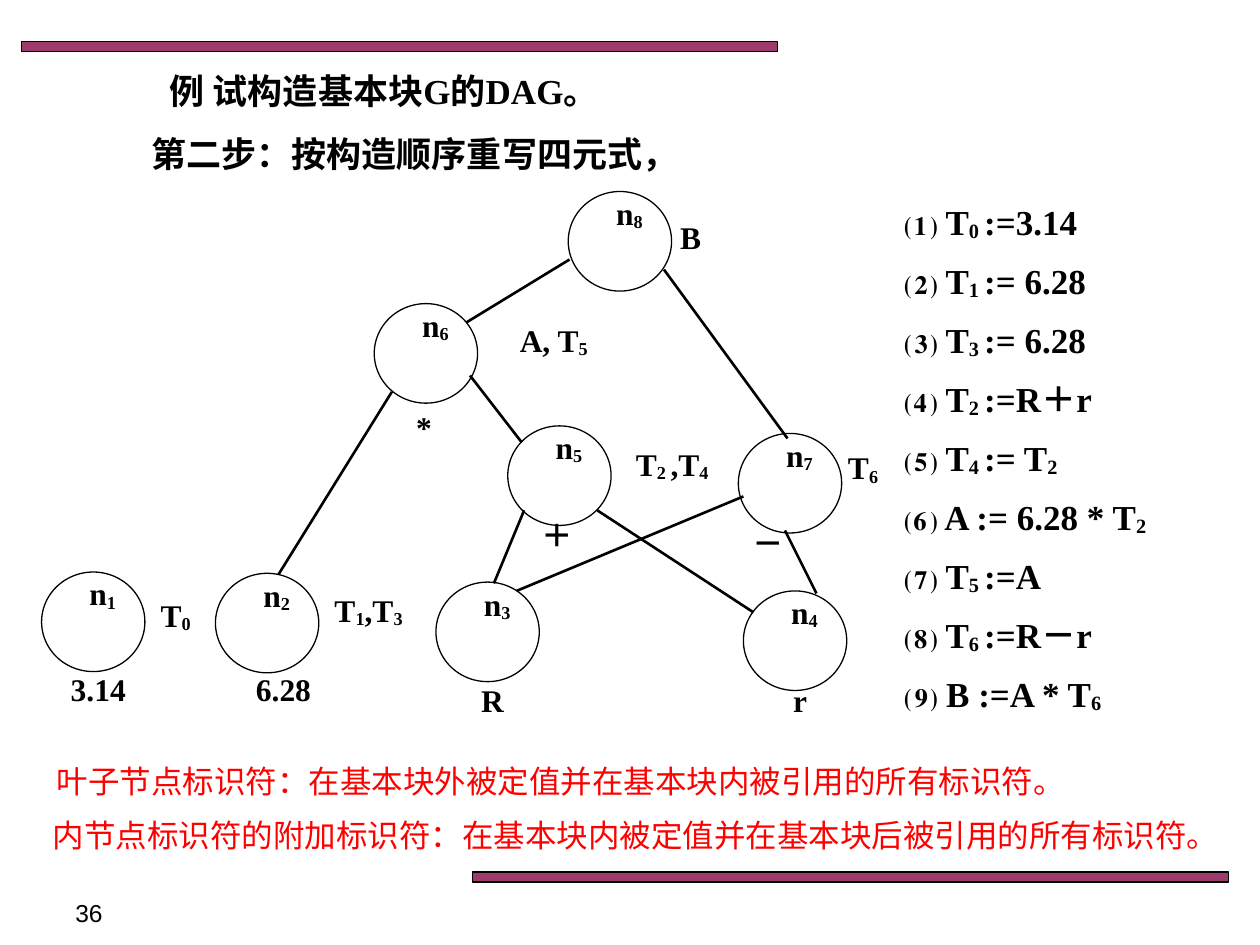
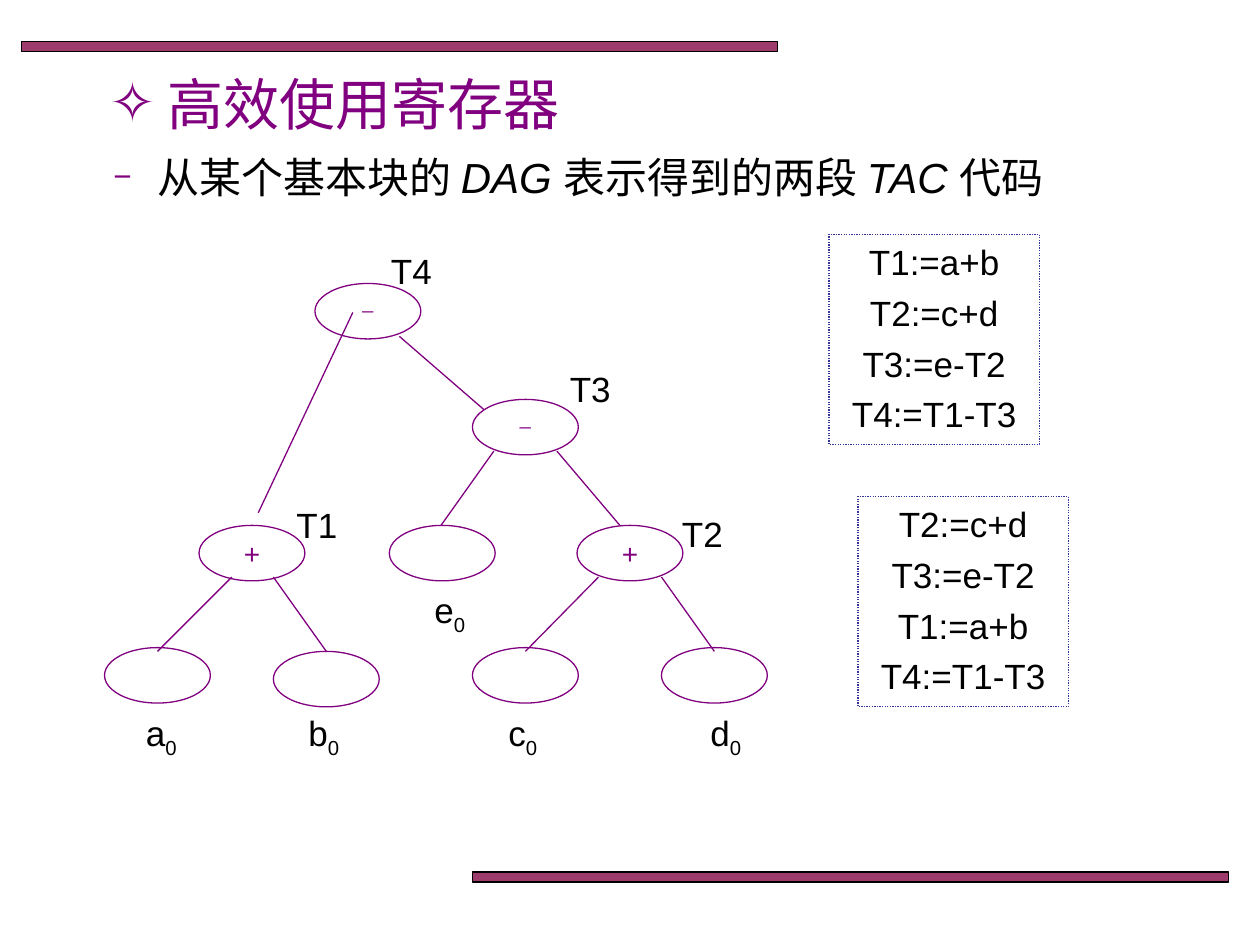
from dataclasses import dataclass

from lxml.etree import SubElement
from pptx import Presentation
from pptx.dml.color import RGBColor
from pptx.enum.dml import MSO_LINE
from pptx.enum.shapes import MSO_CONNECTOR, MSO_SHAPE
from pptx.enum.text import MSO_ANCHOR, MSO_AUTO_SIZE, PP_ALIGN
from pptx.oxml.ns import qn
from pptx.util import Inches, Pt

SERIF = "Times New Roman"
SANS = "Arial"
BLACK = "000000"
PURPLE = "800080"
MARK = "~"


@dataclass(frozen=True)
class Type:
    size: int
    font: str = SANS
    color: str = BLACK
    bold: bool = False


@dataclass(frozen=True)
class Theme:
    band: str = "993366"
    ink: str = BLACK
    tree: str = PURPLE
    paper: str = "FFFFFF"
    code_border: str = "333399"
    heading: Type = Type(20, SERIF, bold=True)
    node: Type = Type(18, SERIF, bold=True)
    remark: Type = Type(18, color="FF0000")
    page: Type = Type(14)
    topic: Type = Type(32, color=PURPLE)
    statement: Type = Type(24)
    code: Type = Type(20)
    minus: Type = Type(14, SERIF, PURPLE)
    plus: Type = Type(16, color=PURPLE)


THEME = Theme()
LOW = {"baseline": "-10000"}
LOWER = {"baseline": "-25000"}
ITALIC = {"i": "1"}


def inches(*lengths):
    return [Inches(length) for length in lengths]


def rgb(color):
    return RGBColor.from_string(color)


class Deck:
    def __init__(self, theme):
        self.theme = theme
        self.prs = Presentation()
        self.prs.slide_width, self.prs.slide_height = inches(10, 7.5)
        self.slide = None

    def new_slide(self):
        self.slide = self.prs.slides.add_slide(self.prs.slide_layouts[1])
        for left, top in ((0.17, 0.33), (3.75, 6.92)):
            band = self.shape(MSO_SHAPE.RECTANGLE, (left, top, 6, 0.08), self.theme.ink, self.theme.band)
            color = band._element.spPr.find(qn("a:solidFill")).find(qn("a:srgbClr"))
            SubElement(color, qn("a:alpha"), val="96000")

    def shape(self, preset, box, border, fill=None):
        shape = self.slide.shapes.add_shape(preset, *inches(*box))
        shape.shadow.inherit = False
        shape.line.color.rgb = rgb(border)
        shape.line.width = Pt(0.75)
        if fill:
            shape.fill.solid()
            shape.fill.fore_color.rgb = rgb(fill)
        else:
            shape.fill.background()
        return shape

    def set_text(self, shape, lines, style, align=PP_ALIGN.CENTER, marked=LOW, bullet=None, hang=(0, 0),
                 bullet_size=100, pitch=None, gap=0, anchor=MSO_ANCHOR.TOP, inset=(0.1, 0.05), wrap=True):
        frame = shape.text_frame
        frame.word_wrap = wrap
        frame.auto_size = MSO_AUTO_SIZE.NONE
        frame.vertical_anchor = anchor
        frame.margin_left = frame.margin_right = Inches(inset[0])
        frame.margin_top = frame.margin_bottom = Inches(inset[1])
        for index, line in enumerate(lines):
            paragraph = frame.add_paragraph() if index else frame.paragraphs[0]
            self.bullet(paragraph, bullet, hang, bullet_size)
            paragraph.alignment = align
            paragraph.space_before = Pt(gap)
            if pitch:
                paragraph.line_spacing = Pt(pitch)
            paragraph.font.size = Pt(style.size)
            paragraph.font.name = style.font
            paragraph.font.bold = style.bold
            paragraph.font.color.rgb = rgb(style.color)
            for part, text in enumerate(line.split(MARK)):
                if text:
                    run = paragraph.add_run()
                    run.text = text
                    if part % 2:
                        for name, value in marked.items():
                            run._r.get_or_add_rPr().set(name, value)

    def bullet(self, paragraph, bullet, hang, size):
        props = paragraph._p.get_or_add_pPr()
        margin, indent = inches(*hang)
        props.set("marL", str(margin))
        props.set("indent", str(indent))
        if bullet:
            SubElement(SubElement(props, qn("a:buClr")), qn("a:srgbClr"), val=self.theme.tree)
            SubElement(props, qn("a:buSzPct"), val=str(size * 1000))
            SubElement(props, qn("a:buFont"), typeface=SANS)
            SubElement(props, qn("a:buChar"), char=bullet)
        else:
            SubElement(props, qn("a:buNone"))

    def placeholder(self, index, box, lines, style, **options):
        holder = self.slide.placeholders[index]
        holder.left, holder.top, holder.width, holder.height = inches(*box)
        self.set_text(holder, lines, style, **options)

    def title(self, box, text, style, **options):
        self.placeholder(0, box, [text], style, **options)

    def body(self, box, lines, style, **options):
        self.placeholder(1, box, lines, style, align=PP_ALIGN.LEFT, **options)

    def label(self, box, text, style, **options):
        self.set_text(self.slide.shapes.add_textbox(*inches(*box)), [text], style, **options)

    def edge(self, start, end, color, width):
        edge = self.slide.shapes.add_connector(MSO_CONNECTOR.STRAIGHT, *inches(*start, *end))
        edge.line.color.rgb = rgb(color)
        edge.line.width = Pt(width)
        SubElement(edge._element.spPr, qn("a:effectLst"))

    def dag_node(self, number, left, top):
        self.shape(MSO_SHAPE.OVAL, (left, top, 0.82, 0.79), self.theme.ink)
        self.label((left + 0.11, top - 0.03, 0.75, 0.5), f"n~{number}~", self.theme.node)

    def tree_node(self, left, top, operator=None):
        oval = self.shape(MSO_SHAPE.OVAL, (left, top, 0.84, 0.44), self.theme.tree, self.theme.paper)
        if operator:
            style = self.theme.plus if operator == "+" else self.theme.minus
            self.set_text(oval, [operator], style, anchor=MSO_ANCHOR.MIDDLE, inset=(0.06, 0.01))

    def code_box(self, left, top, lines):
        frame = self.shape(MSO_SHAPE.RECTANGLE, (left, top, 1.67, 1.67), self.theme.code_border)
        frame.line.dash_style = MSO_LINE.ROUND_DOT
        self.set_text(frame, lines, self.theme.code, gap=5)


def build_dag(deck):
    theme = deck.theme
    deck.new_slide()
    deck.title((0.52, 0.5, 5.06, 0.43), "例 试构造基本块G的DAG。", theme.heading)
    deck.label((0.58, 1, 5.42, 0.43), "第二步：按构造顺序重写四元式，", theme.heading)
    quadruples = [
        "⑴ T~0 ~:=3.14",
        "⑵ T~1 ~:= 6.28",
        "⑶ T~3 ~:= 6.28",
        "⑷ T~2 ~:=R＋r",
        "⑸ T~4 ~:= T~2~",
        "⑹ A := 6.28 * T~2~",
        "⑺ T~5 ~:=A",
        "⑻ T~6 ~:=R－r",
        "⑼ B :=A * T~6~",
    ]
    deck.body((7.08, 1.46, 2.5, 4.33), quadruples, theme.heading, pitch=33.7, inset=(0.1, 0))

    nodes = [(0.33, 4.54), (1.71, 4.55), (3.46, 4.62), (5.9, 4.69),
             (4.03, 3.38), (2.97, 2.41), (5.86, 3.44), (4.51, 1.52)]
    for number, corner in enumerate(nodes, 1):
        deck.dag_node(number, *corner)
    identifiers = [
        ("T~0~", 1.11, 4.68, 0.57),
        ("3.14", 0.33, 5.27, 0.9),
        ("T~1~,T~3~", 2.42, 4.64, 1.01),
        ("6.28", 1.8, 5.27, 0.9),
        ("R", 3.58, 5.36, 0.66),
        ("r", 5.9, 5.36, 0.9),
        ("＋", 4.14, 4.05, 0.57),
        ("T~2 ~,T~4~", 4.78, 3.48, 1.11),
        ("*", 3.08, 3.19, 0.57),
        ("A, T~5~", 3.72, 2.5, 1.35),
        ("T~6~", 6.58, 3.51, 0.54),
        ("－", 5.81, 4.11, 0.57),
        ("B", 5.27, 1.68, 0.42),
    ]
    for text, left, top, width in identifiers:
        deck.label((left, top, width, 0.5), text, theme.node)
    edges = [
        ((4.16, 4.05), (3.92, 4.63)),
        ((5.98, 4.86), (4.74, 4.05)),
        ((3.11, 3.11), (2.21, 4.56)),
        ((3.73, 2.98), (4.14, 3.51)),
        ((4.1, 4.69), (5.9, 3.94)),
        ((6.23, 4.21), (6.48, 4.71)),
        ((4.52, 2.06), (3.7, 2.56)),
        ((5.27, 2.14), (6.25, 3.48)),
    ]
    for start, end in edges:
        deck.edge(start, end, theme.ink, 1.5)

    deck.label((0.24, 6, 8.42, 0.4), "叶子节点标识符：在基本块外被定值并在基本块内被引用的所有标识符。", theme.remark)
    deck.label((0.17, 6.43, 9.75, 0.4),
               "内节点标识符的附加标识符：在基本块内被定值并在基本块后被引用的所有标识符。", theme.remark)
    deck.label((0.5, 7.08, 2.33, 0.27), "36", theme.page, align=PP_ALIGN.LEFT)


def build_registers(deck):
    theme = deck.theme
    deck.new_slide()
    deck.title((0.61, 0.5, 4.09, 0.64), "高效使用寄存器", theme.topic,
               align=PP_ALIGN.LEFT, bullet="✧", hang=(0.62, -0.46))
    deck.body((0.8, 1.15, 8.2, 0.57), ["从某个基本块的 ~DAG ~表示得到的两段 ~TAC ~代码"], theme.statement,
              marked=ITALIC, bullet="−", bullet_size=75, hang=(0.35, -0.35))

    edges = [
        ((2.8, 2.48), (2.05, 4.07)),
        ((3.17, 2.67), (3.84, 3.25)),
        ((3.5, 4.17), (3.92, 3.58)),
        ((4.42, 3.58), (4.92, 4.17)),
        ((1.84, 4.58), (1.25, 5.17)),
        ((2.17, 4.58), (2.59, 5.17)),
        ((4.17, 5.17), (4.75, 4.58)),
        ((5.25, 4.58), (5.67, 5.17)),
    ]
    nodes = [(2.5, 2.25, "−"), (3.75, 3.17, "−"), (1.58, 4.17, "+"), (4.58, 4.17, "+"),
             (3.09, 4.17), (0.83, 5.14), (2.17, 5.17), (3.75, 5.14), (5.25, 5.14)]
    for node in nodes:
        deck.tree_node(*node)
    for start, end in edges:
        deck.edge(start, end, theme.tree, 0.75)
    names = [("T4", 3, 1.98), ("T3", 4.42, 2.92), ("T1", 2.25, 4), ("T2", 5.31, 4.07),
             ("e~0~", 3.34, 4.67), ("a~0~", 1.05, 5.65), ("b~0~", 2.34, 5.65),
             ("c~0~", 3.92, 5.65), ("d~0~", 5.53, 5.65)]
    for text, left, top in names:
        width = 0.46 if MARK in text else 0.53
        deck.label((left, top, width, 0.27), text, theme.code, marked=LOWER, inset=(0.1, 0), wrap=False)

    sum_ab, sum_cd, difference, result = "T1:=a+b", "T2:=c+d", "T3:=e-T2", "T4:=T1-T3"
    deck.code_box(6.58, 1.86, [sum_ab, sum_cd, difference, result])
    deck.code_box(6.81, 3.94, [sum_cd, difference, sum_ab, result])


def main():
    deck = Deck(THEME)
    build_dag(deck)
    build_registers(deck)
    deck.prs.save("out.pptx")


if __name__ == "__main__":
    main()
